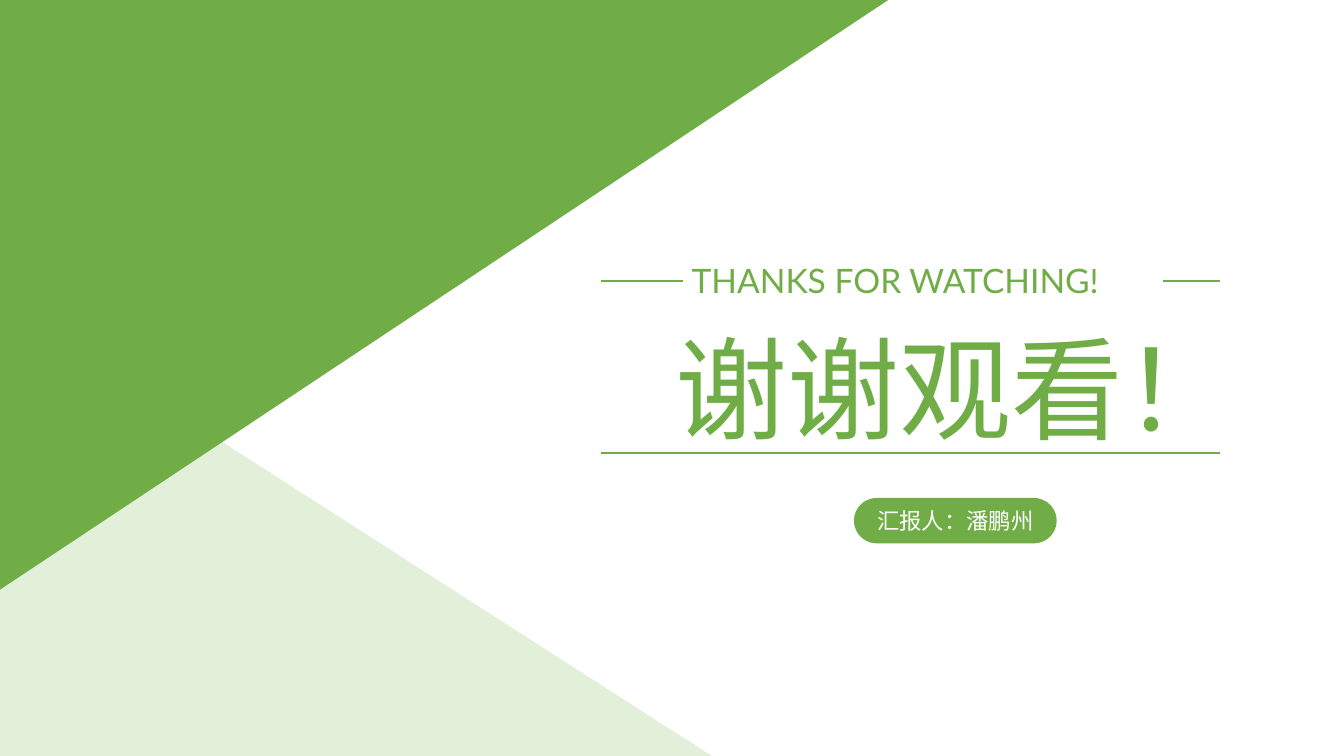
"""Build a closing thank-you slide with two corner triangles."""
from lxml.etree import SubElement
from pptx import Presentation
from pptx.dml.color import RGBColor
from pptx.enum.shapes import MSO_CONNECTOR as CONN, MSO_SHAPE as SHAPE
from pptx.enum.text import MSO_ANCHOR as ANCHOR, MSO_AUTO_SIZE as FIT, PP_ALIGN as ALIGN
from pptx.oxml.ns import qn
from pptx.util import Inches, Pt

GREEN, PALE, WHITE = "70AD47", "E2EFD9", "FFFFFF"
FONT = "Lato"
LEFT, RIGHT = 5.96, 12.1
CAPTION_Y, TITLE_Y = 2.79, 4.49

TRIANGLES = [
    ((0, 2.97, 7.06, 4.53), PALE, False),
    ((0, 0, 8.81, 5.85), GREEN, True),
]
PRESENTER = ("汇报人：潘鹏州", (8.47, 4.94, 2.01, 0.45))
TEXTS = [
    ("谢谢观看！", (6.67, 3.17, 5.61, 1.35), 80, ALIGN.CENTER, False),
    ("THANKS FOR WATCHING!", (6.86, 2.58, 4.55, 0.4), 24, ALIGN.JUSTIFY, True),
]
RULES = [(LEFT, 6.77, CAPTION_Y), (11.53, RIGHT, CAPTION_Y), (LEFT, RIGHT, TITLE_Y)]


def rgb(color):
    return RGBColor.from_string(color)


def set_all(obj, values):
    for name, value in values.items():
        setattr(obj, name, value)


def add_block(slide, kind, box, color):
    sp = slide.shapes.add_shape(kind, *map(Inches, box))
    sp.shadow.inherit = False
    sp.fill.solid()
    sp.fill.fore_color.rgb = rgb(color)
    sp.line.fill.background()
    return sp


def write(tf, text, size, color, align, frame):
    set_all(tf, frame)
    p = tf.paragraphs[0]
    p.alignment = align
    r = p.add_run()
    r.text = text
    set_all(r.font, {"name": FONT, "size": Pt(size)})
    r.font.color.rgb = rgb(color)


def add_rule(slide, x1, x2, y):
    line = slide.shapes.add_connector(CONN.STRAIGHT, *map(Inches, (x1, y, x2, y)))
    line.line.color.rgb = rgb(GREEN)
    line.line.width = Pt(1.5)
    SubElement(line._element.spPr, qn("a:effectLst"))


def main():
    prs = Presentation()
    set_all(prs, {"slide_width": Inches(13.33), "slide_height": Inches(7.5)})
    slide = prs.slides.add_slide(prs.slide_layouts[6])

    for box, color, flipped in TRIANGLES:
        sp = add_block(slide, SHAPE.RIGHT_TRIANGLE, box, color)
        if flipped:
            sp._element.spPr.find(qn("a:xfrm")).set("flipV", "1")

    text, box = PRESENTER
    pill = add_block(slide, SHAPE.ROUNDED_RECTANGLE, box, GREEN)
    pill.adjustments[0] = 0.5
    write(pill.text_frame, text, 16, WHITE, ALIGN.CENTER,
          {"vertical_anchor": ANCHOR.MIDDLE, "word_wrap": True})

    margins = dict.fromkeys(
        ("margin_left", "margin_top", "margin_right", "margin_bottom"), 0)
    for text, box, size, align, wrap in TEXTS:
        tf = slide.shapes.add_textbox(*map(Inches, box)).text_frame
        write(tf, text, size, GREEN, align,
              {**margins, "word_wrap": wrap, "auto_size": FIT.SHAPE_TO_FIT_TEXT})

    for rule in RULES:
        add_rule(slide, *rule)

    prs.save("out.pptx")


if __name__ == "__main__":
    main()
